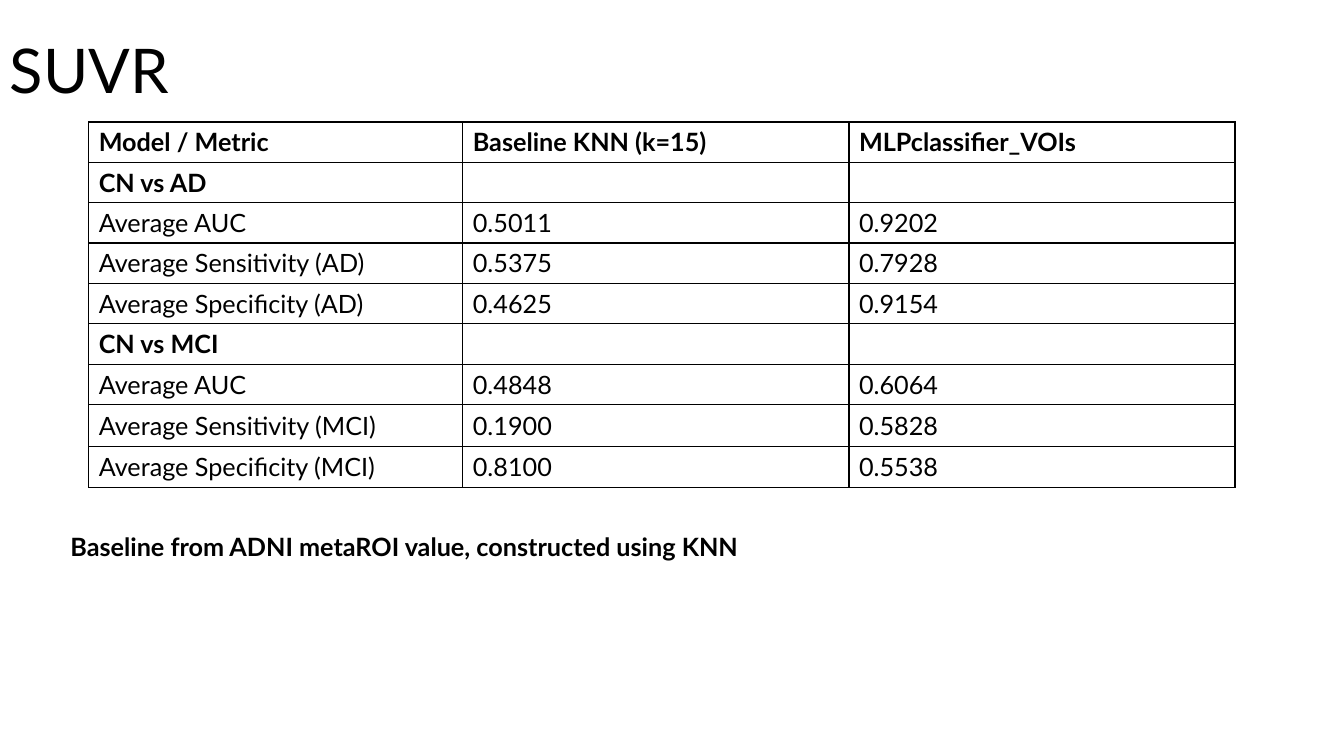
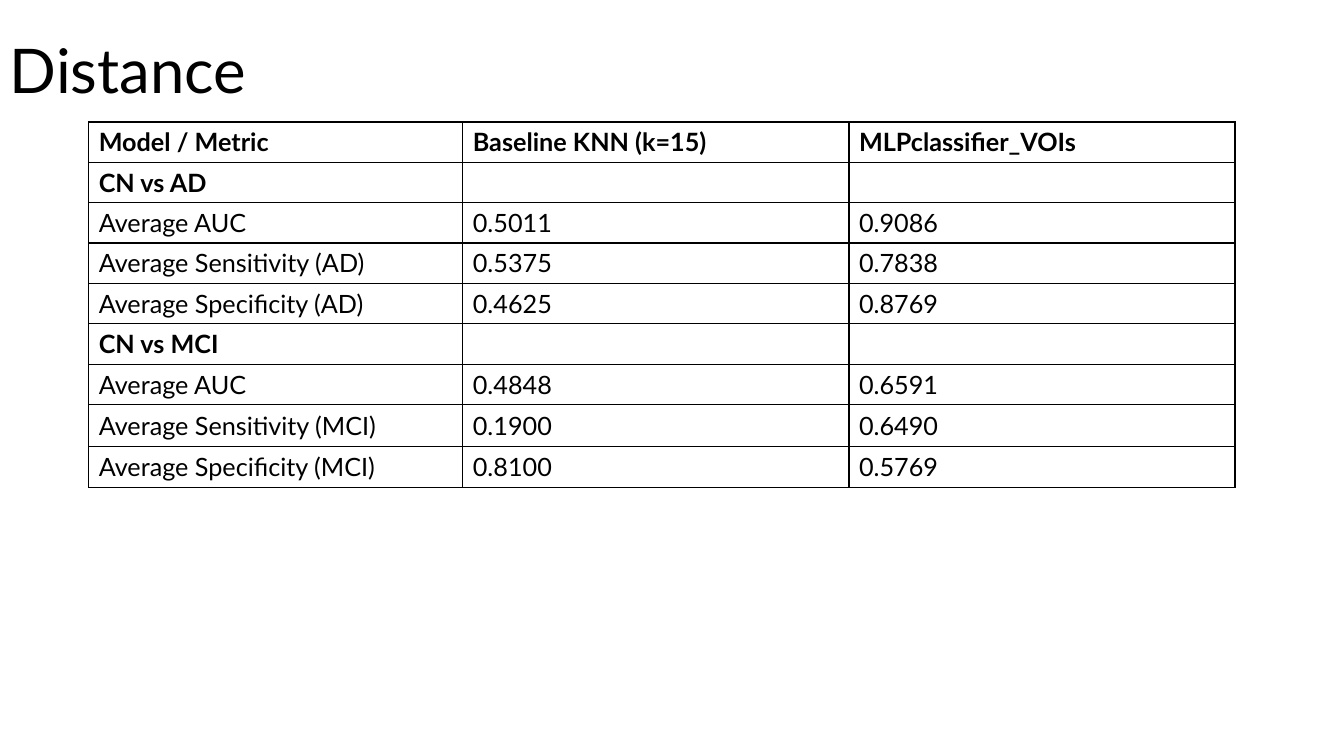
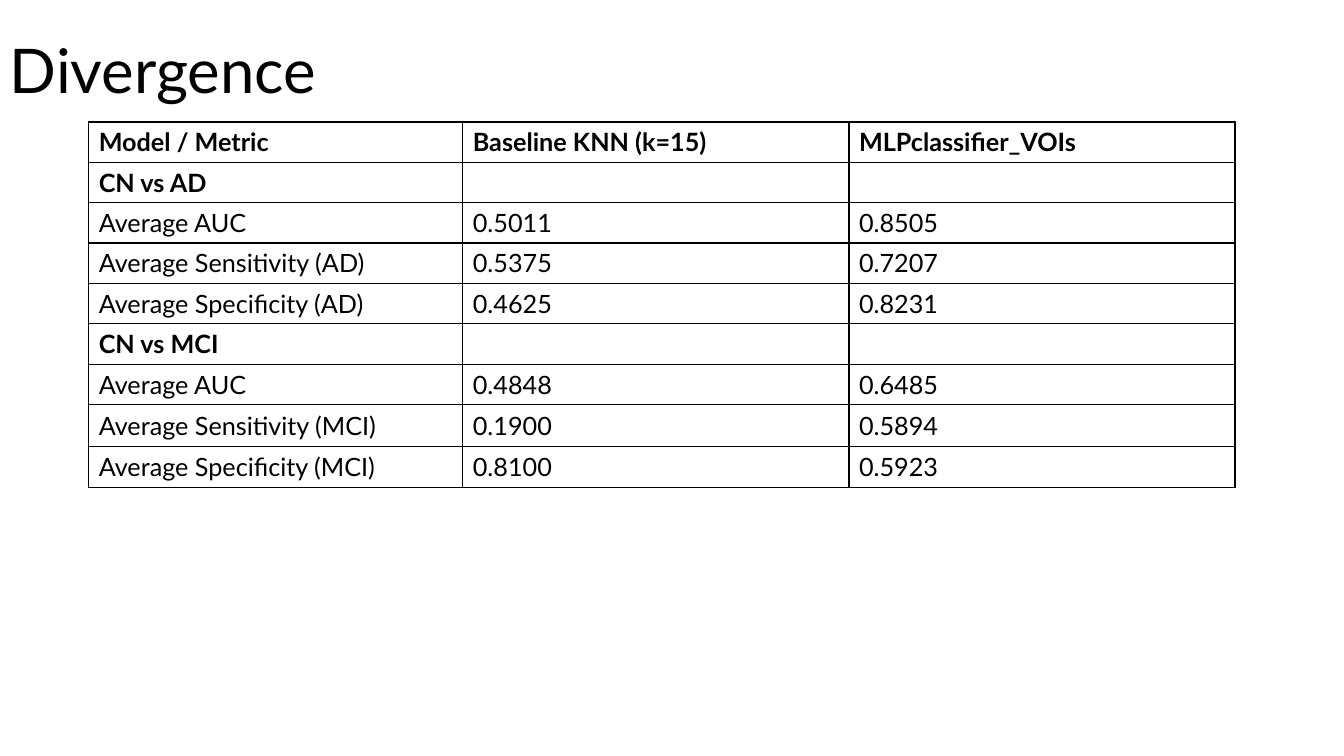
"""Build three slides that compare a baseline KNN with an MLP classifier."""
from dataclasses import dataclass

import lxml.etree
import pptx
import pptx.dml.color
import pptx.enum.text
import pptx.oxml.ns
import pptx.util

Inches = pptx.util.Inches
Pt = pptx.util.Pt
ANCHOR = pptx.enum.text.MSO_ANCHOR
AUTO_SIZE = pptx.enum.text.MSO_AUTO_SIZE


@dataclass(frozen=True)
class Theme:
    font: str = "Lato"
    ink: str = "000000"
    title_size: int = 44
    body_size: int = 18
    border_width: int = 1


@dataclass(frozen=True)
class Result:
    title: str
    scores: tuple[str, ...]
    note: str = ""


THEME = Theme()
HEADER = ("Model / Metric", "Baseline KNN (k=15)", "MLPclassifier_VOIs")
GROUPS = {
    "AD": ("0.5011", "0.5375", "0.4625"),
    "MCI": ("0.4848", "0.1900", "0.8100"),
}
COLUMN_WIDTHS = (3.71, 3.83, 3.83)
ROW_HEIGHTS = (0.4,) * 7 + (0.42, 0.4)
RESULTS = (
    Result("SUVR", ("0.9202", "0.7928", "0.9154", "0.6064", "0.5828", "0.5538"),
           "Baseline from ADNI metaROI value, constructed using KNN"),
    Result("Distance", ("0.9086", "0.7838", "0.8769", "0.6591", "0.6490", "0.5769")),
    Result("Divergence", ("0.8505", "0.7207", "0.8231", "0.6485", "0.5894", "0.5923")),
)


def write_text(tf, text: str, *, size: int = THEME.body_size, bold: bool = False,
               line_spacing: float | None = None) -> None:
    p = tf.paragraphs[0]
    p.line_spacing = line_spacing
    r = p.add_run()
    r.text = text
    r.font.name = THEME.font
    r.font.size = Pt(size)
    r.font.bold = bold
    r.font.color.rgb = pptx.dml.color.RGBColor.from_string(THEME.ink)


def add_text_box(s, left: float, top: float, width: float, height: float):
    tf = s.shapes.add_textbox(Inches(left), Inches(top), Inches(width), Inches(height)).text_frame
    tf.word_wrap = True
    return tf


def add_borders(cell) -> None:
    qn = pptx.oxml.ns.qn
    tc_pr = cell._tc.get_or_add_tcPr()
    for side in ("lnL", "lnR", "lnT", "lnB"):
        ln = lxml.etree.SubElement(tc_pr, qn(f"a:{side}"), w=str(Pt(THEME.border_width)))
        fill = lxml.etree.SubElement(ln, qn("a:solidFill"))
        lxml.etree.SubElement(fill, qn("a:srgbClr"), val=THEME.ink)


def table_rows(scores: tuple[str, ...]) -> list[tuple[str, ...]]:
    rows = [HEADER]
    remaining = iter(scores)
    for group, baselines in GROUPS.items():
        rows.append((f"CN vs {group}", "", ""))
        metrics = ("Average AUC", f"Average Sensitivity ({group})", f"Average Specificity ({group})")
        rows += [(metric, baseline, next(remaining)) for metric, baseline in zip(metrics, baselines)]
    return rows


def add_score_table(s, scores: tuple[str, ...]) -> None:
    rows = table_rows(scores)
    table = s.shapes.add_table(len(rows), len(HEADER), Inches(0.88), Inches(1.21),
                               Inches(sum(COLUMN_WIDTHS)), Inches(sum(ROW_HEIGHTS))).table
    table.first_row = False
    table.horz_banding = False
    for column, width in zip(table.columns, COLUMN_WIDTHS):
        column.width = Inches(width)
    for row, height, values in zip(table.rows, ROW_HEIGHTS, rows):
        row.height = Inches(height)
        bold = values == HEADER or not values[1]
        for cell, value in zip(row.cells, values):
            cell.vertical_anchor = ANCHOR.MIDDLE
            add_borders(cell)
            cell.fill.background()
            write_text(cell.text_frame, value, bold=bold)


def add_result_slide(prs, result: Result) -> None:
    s = prs.slides.add_slide(prs.slide_layouts[6])
    title_tf = add_text_box(s, 0, 0, 11.5, 1.45)
    title_tf.vertical_anchor = ANCHOR.MIDDLE
    write_text(title_tf, result.title, size=THEME.title_size, line_spacing=0.9)
    add_score_table(s, result.scores)
    if result.note:
        note_tf = add_text_box(s, 0.6, 5.22, 8.41, 0.4)
        note_tf.auto_size = AUTO_SIZE.SHAPE_TO_FIT_TEXT
        write_text(note_tf, result.note, bold=True)


def main() -> None:
    prs = pptx.Presentation()
    prs.slide_width = Inches(13.33)
    prs.slide_height = Inches(7.5)
    for result in RESULTS:
        add_result_slide(prs, result)
    prs.save("out.pptx")


if __name__ == "__main__":
    main()
